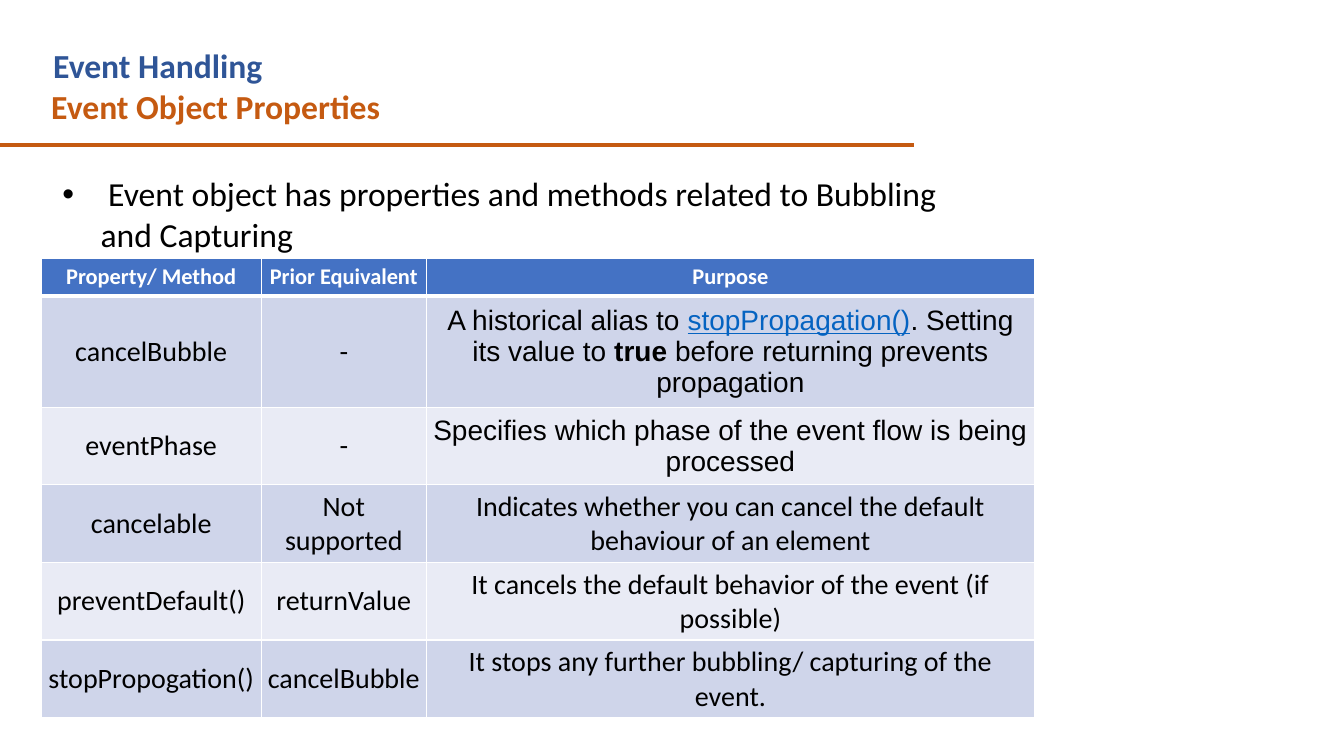
from dataclasses import dataclass

from lxml.etree import SubElement
from pptx import Presentation
from pptx.dml.color import RGBColor
from pptx.enum.shapes import MSO_CONNECTOR
from pptx.enum.text import MSO_ANCHOR, MSO_AUTO_SIZE, PP_ALIGN
from pptx.oxml.ns import qn
from pptx.util import Inches, Pt

LINE = MSO_CONNECTOR.STRAIGHT
MIDDLE = MSO_ANCHOR.MIDDLE
CENTER = PP_ALIGN.CENTER
GROW = MSO_AUTO_SIZE.SHAPE_TO_FIT_TEXT

COLORS = {
    "blue": "2F5597", "rust": "C55A11", "black": "000000", "white": "FFFFFF",
    "head": "4472C4", "odd": "CFD5EA", "even": "E9EBF5", "link": "0563C1",
}


@dataclass
class Label:
    text: str
    left: float
    top: float
    width: float
    height: float
    color: str
    bold: bool = True
    bullet: bool = False


@dataclass
class Row:
    height: float
    cells: tuple
    font: str = "Calibri"  # font of the last column


@dataclass
class Span:
    text: str
    link: bool = False
    bold: bool = False


LABELS = [
    Label("Event Handling", 0.43, 0.4, 8.2, 0.51, "blue"),
    Label("Event Object Properties", 0.41, 0.8, 8.75, 0.51, "rust"),
    Label(" Event object has properties and methods related to Bubbling and Capturing",
          0.52, 1.67, 9.06, 0.91, "black", bold=False, bullet=True),
]

ALIAS = (
    Span("A historical alias to "),
    Span("stopPropagation()", link=True),
    Span(". Setting its value to "),
    Span("true", bold=True),
    Span(" before returning prevents propagation"),
)

WIDTHS = (2.18, 1.64, 6.03)
ROWS = [
    Row(0.38, ("Property/ Method", "Prior Equivalent", "Purpose")),
    Row(1.1, ("cancelBubble", "-", ALIAS), "Arial"),
    Row(0.77, ("eventPhase", "-",
               "Specifies which phase of the event flow is being processed"), "Arial"),
    Row(0.77, ("cancelable", "Not supported",
               "Indicates whether you can cancel the default behaviour of an element")),
    Row(0.77, ("preventDefault()", "returnValue",
               "It cancels the default behavior of the event (if possible)")),
    Row(0.77, ("stopPropogation()", "cancelBubble",
               "It stops any further bubbling/ capturing of the event.")),
]


def rgb(name: str) -> RGBColor:
    return RGBColor.from_string(COLORS[name])


def style(font, size: float, color: str, face: str = "Calibri") -> None:
    font.size, font.name = Pt(size), face
    font.color.rgb = rgb(color)


def add_label(slide, label: Label) -> None:
    box = slide.shapes.add_textbox(Inches(label.left), Inches(label.top),
                                   Inches(label.width), Inches(label.height))
    frame = box.text_frame
    frame.word_wrap, frame.auto_size = True, GROW
    para = frame.paragraphs[0]
    para.text = label.text
    if label.bullet:
        props = para._p.get_or_add_pPr()
        props.set("marL", str(Inches(0.38)))
        props.set("indent", str(-Inches(0.38)))
        SubElement(props, qn("a:buFont"), typeface="Arial")
        SubElement(props, qn("a:buChar"), char="•")
    style(para.font, 24, label.color)
    para.font.bold = label.bold


def add_rule(slide) -> None:
    rule = slide.shapes.add_connector(LINE, Inches(-0.01), Inches(1.44),
                                      Inches(9.07), Inches(1.44))
    rule.line.color.rgb = rgb("rust")
    rule.line.width = Pt(3)
    SubElement(rule._element.spPr, qn("a:effectLst"))


def add_edges(cell, top: float, bottom: float) -> None:
    props = cell._tc.get_or_add_tcPr()
    for side, width in (("L", 1), ("R", 1), ("T", top), ("B", bottom)):
        edge = SubElement(props, qn(f"a:ln{side}"), w=str(Pt(width)))
        fill = SubElement(edge, qn("a:solidFill"))
        SubElement(fill, qn("a:srgbClr"), val=COLORS["white"])


def fill_cell(cell, text, index: int, face: str) -> None:
    head = index == 0
    add_edges(cell, 3 if index == 1 else 1, 3 if head else 1)
    cell.fill.solid()
    cell.fill.fore_color.rgb = rgb("head" if head else "odd" if index % 2 else "even")
    cell.vertical_anchor = MIDDLE
    cell.margin_left = cell.margin_right = Inches(0.05)
    cell.margin_top = cell.margin_bottom = Inches(0.05)
    para = cell.text_frame.paragraphs[0]
    para.alignment = CENTER
    style(para.font, 16 if head else 20, "white" if head else "black", face)
    spans = (Span(text, bold=head),) if isinstance(text, str) else text
    for span in spans:
        run = para.add_run()
        run.text = span.text
        run.font.bold = span.bold
        if span.link:
            run.font.underline = True
            run.font.color.rgb = rgb("link")


def add_grid(slide) -> None:
    total = sum(row.height for row in ROWS)
    grid = slide.shapes.add_table(len(ROWS), len(WIDTHS), Inches(0.41), Inches(2.56),
                                  Inches(sum(WIDTHS)), Inches(total)).table
    for col, width in zip(grid.columns, WIDTHS):
        col.width = Inches(width)
    for index, row in enumerate(ROWS):
        grid.rows[index].height = Inches(row.height)
        for spot, text in enumerate(row.cells):
            face = row.font if spot == len(WIDTHS) - 1 else "Calibri"
            fill_cell(grid.cell(index, spot), text, index, face)


def main() -> None:
    deck = Presentation()
    deck.slide_width, deck.slide_height = Inches(13.33), Inches(7.5)
    slide = deck.slides.add_slide(deck.slide_layouts[6])

    # Heading and bullet
    for label in LABELS:
        add_label(slide, label)
    add_rule(slide)

    # Table of properties
    add_grid(slide)
    deck.save("out.pptx")


if __name__ == "__main__":
    main()
